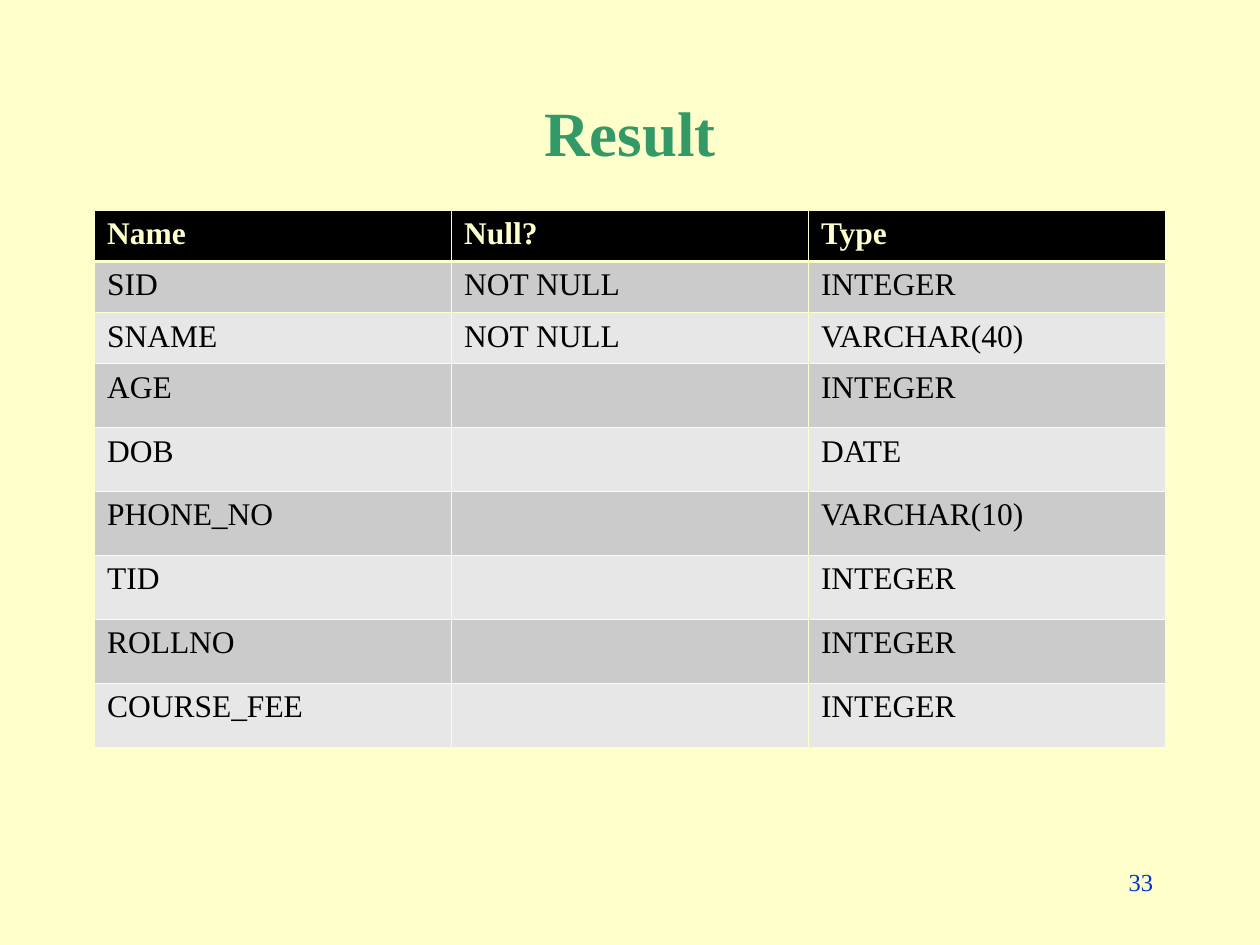
from lxml.etree import SubElement
from pptx import Presentation
from pptx.dml.color import RGBColor
from pptx.enum.text import MSO_ANCHOR, PP_ALIGN
from pptx.oxml.ns import qn
from pptx.util import Inches, Pt

CREAM, GREEN, BLUE, BLACK = "FFFFCC", "339966", "0033CC", "000000"
BANDS = ("CBCBCB", "E7E7E7")
THIN, THICK = 0.45, 1.47
EMPTY_CELL_SIZE = 24

RESULT_ROWS = [
    ("Name", "Null?", "Type"),
    ("SID", "NOT NULL", "INTEGER"),
    ("SNAME", "NOT NULL", "VARCHAR(40)"),
    ("AGE", "", "INTEGER"),
    ("DOB", "", "DATE"),
    ("PHONE_NO", "", "VARCHAR(10)"),
    ("TID", "", "INTEGER"),
    ("ROLLNO", "", "INTEGER"),
    ("COURSE_FEE", "", "INTEGER"),
]


def color(hex_string):
    return RGBColor.from_string(hex_string)


class SlideBuilder:
    font_name = "Times New Roman"

    def __init__(self, presentation):
        self.slide = presentation.slides.add_slide(presentation.slide_layouts[5])
        fill = self.slide.background.fill
        fill.solid()
        fill.fore_color.rgb = color(CREAM)

    def set_text(self, text_frame, text, size, text_color, bold=False, align=PP_ALIGN.LEFT):
        text_frame.text = text
        paragraph = text_frame.paragraphs[0]
        paragraph.alignment = align
        for run in paragraph.runs:
            run.font.name = self.font_name
            run.font.size = Pt(size)
            run.font.bold = bold
            run.font.color.rgb = color(text_color)

    def title(self, text, left, top, width, height):
        shape = self.slide.shapes.title
        shape.left, shape.top = Inches(left), Inches(top)
        shape.width, shape.height = Inches(width), Inches(height)
        shape.text_frame.vertical_anchor = MSO_ANCHOR.MIDDLE
        self.set_text(shape.text_frame, text, 36, GREEN, True, PP_ALIGN.CENTER)

    def text_box(self, text, left, top, width, height):
        shape = self.slide.shapes.add_textbox(
            Inches(left), Inches(top), Inches(width), Inches(height))
        shape.text_frame.word_wrap = True
        self.set_text(shape.text_frame, text, 14, BLUE, align=PP_ALIGN.RIGHT)

    def borders(self, cell, top, bottom):
        properties = cell._tc.get_or_add_tcPr()
        widths = {"a:lnL": THIN, "a:lnR": THIN, "a:lnT": top, "a:lnB": bottom}
        for tag, width in widths.items():
            line = SubElement(properties, qn(tag), w=str(Pt(width)))
            fill = SubElement(line, qn("a:solidFill"))
            SubElement(fill, qn("a:srgbClr"), val=CREAM)

    def table(self, rows, left, top, width, height):
        table = self.slide.shapes.add_table(
            len(rows), len(rows[0]),
            Inches(left), Inches(top), Inches(width), Inches(height)).table
        for row_index, values in enumerate(rows):
            header = row_index == 0
            for column_index, value in enumerate(values):
                cell = table.cell(row_index, column_index)
                self.borders(cell, THICK if row_index == 1 else THIN,
                             THICK if header else THIN)
                cell.fill.solid()
                cell.fill.fore_color.rgb = color(
                    BLACK if header else BANDS[(row_index - 1) % 2])
                self.set_text(cell.text_frame, value, 18,
                              CREAM if header else BLACK, header)
                if not value:
                    # The size of an empty cell makes its row taller
                    SubElement(cell.text_frame.paragraphs[0]._p, qn("a:endParaRPr"),
                               sz=str(EMPTY_CELL_SIZE * 100))


def main():
    presentation = Presentation()
    presentation.slide_width = Inches(10)
    presentation.slide_height = Inches(7.5)
    builder = SlideBuilder(presentation)
    builder.title("Result", 0.75, 0.67, 8.5, 0.75)
    builder.table(RESULT_ROWS, 0.75, 1.67, 8.5, 3.65)
    builder.text_box("33", 7.17, 6.83, 2.08, 0.5)
    presentation.save("out.pptx")


if __name__ == "__main__":
    main()
